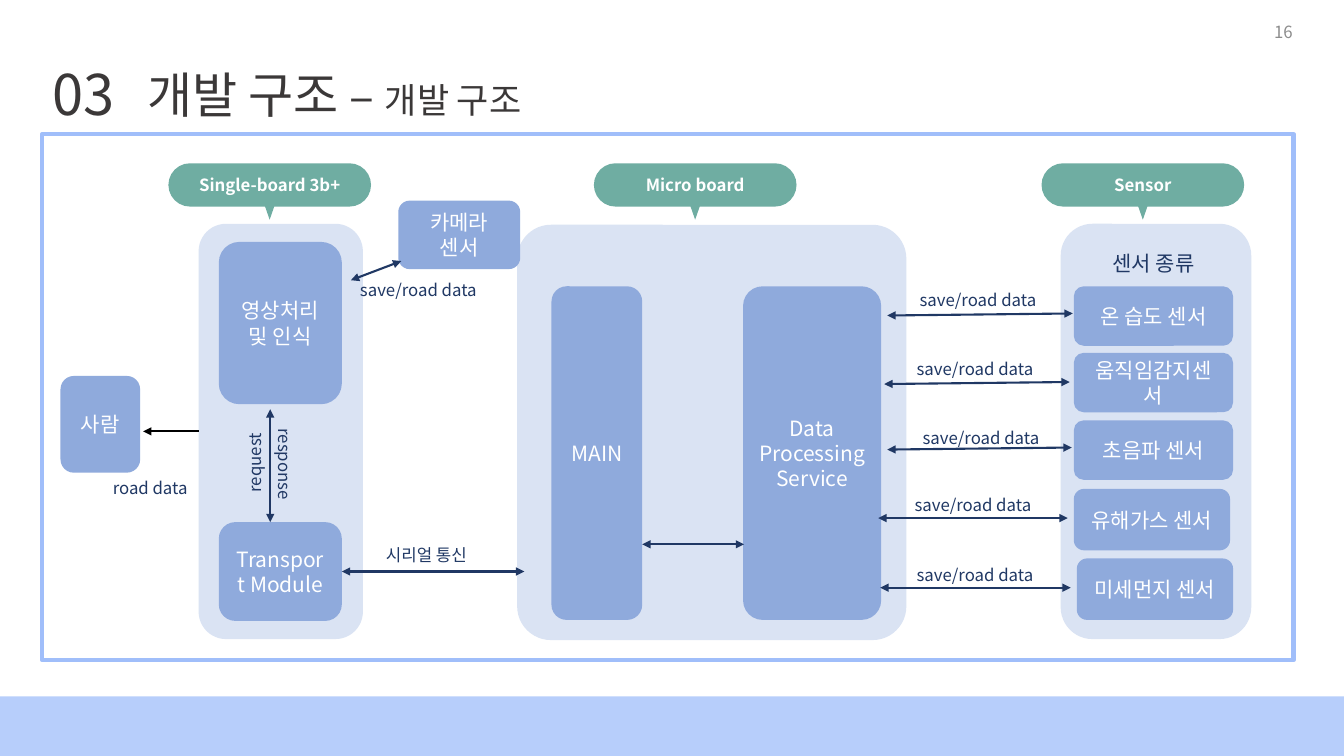
"""Build the development structure slide: boards, modules and sensors."""
from dataclasses import dataclass

from lxml.etree import SubElement
from pptx import Presentation
from pptx.dml.color import RGBColor
from pptx.enum.shapes import MSO_CONNECTOR as CONN, MSO_SHAPE as SHAPE
from pptx.enum.text import MSO_ANCHOR as ANCHOR, MSO_AUTO_SIZE as AUTO, PP_ALIGN as ALIGN
from pptx.oxml.ns import qn
from pptx.util import Inches, Pt


@dataclass(frozen=True)
class Theme:
    font: str = "Noto Sans CJK KR"
    title: str = "3B3838"
    number: str = "8C8C8C"
    frame: str = "A0BEFA"
    band: str = "B7CEFB"
    badge: str = "6FADA2"
    panel: str = "DAE3F3"
    module: str = "8FAADC"
    ink: str = "203864"
    white: str = "FFFFFF"
    black: str = "000000"
    small: int = 12
    body: int = 15
    subtitle: int = 25
    dash: int = 33
    heading: int = 35
    section: int = 40


class Board:
    def __init__(self, slide, theme):
        self.slide, self.t = slide, theme

    def style(self, p, size, color, align=ALIGN.CENTER, bold=False):
        p.alignment = align
        f = p.font
        f.size, f.bold, f.name = Pt(size), bold, self.t.font
        f.color.rgb = RGBColor.from_string(color)
        props = p._p.pPr.find(qn("a:defRPr"))
        SubElement(props, qn("a:ea")).set("typeface", self.t.font)

    def put_text(self, sp, text, size, color, anchor=ANCHOR.MIDDLE, **style):
        tf = sp.text_frame
        tf.word_wrap, tf.vertical_anchor = True, anchor
        tf.text = text
        for p in tf.paragraphs:
            self.style(p, size, color, **style)

    def title(self, box, parts):
        sp = self.slide.shapes.title
        sp.left, sp.top, sp.width, sp.height = map(Inches, box)
        tf = sp.text_frame
        tf.auto_size, tf.vertical_anchor = AUTO.NONE, ANCHOR.TOP
        p = tf.paragraphs[0]
        self.style(p, self.t.heading, self.t.title, ALIGN.LEFT)
        for text, size in parts:
            r = p.add_run()
            r.text = text
            r.font.size = Pt(size)

    def label(self, box, text, size=None, color=None, rotation=0, anchor=ANCHOR.TOP, **style):
        sp = self.slide.shapes.add_textbox(*map(Inches, box))
        sp.rotation = rotation
        self.put_text(sp, text, size or self.t.small, color or self.t.ink, anchor, **style)

    def paint(self, sp, fill=None, line=None):
        sp.shadow.inherit = False
        if fill:
            sp.fill.solid()
            sp.fill.fore_color.rgb = RGBColor.from_string(fill)
        else:
            sp.fill.background()
        if line:
            sp.line.color.rgb = RGBColor.from_string(line)
            sp.line.width = Pt(3)
        else:
            sp.line.fill.background()

    def rect(self, box, fill=None, line=None):
        sp = self.slide.shapes.add_shape(SHAPE.RECTANGLE, *map(Inches, box))
        self.paint(sp, fill, line)

    def rounded(self, box, fill, radius=0.167):
        sp = self.slide.shapes.add_shape(SHAPE.ROUNDED_RECTANGLE, *map(Inches, box))
        sp.adjustments[0] = radius
        self.paint(sp, fill)
        return sp

    def module(self, box, text, radius=0.167):
        sp = self.rounded(box, self.t.module, radius)
        self.put_text(sp, text, self.t.body, self.t.white)
        return sp

    def badge(self, left, text):
        top, width, half = 1.62, 2.01, 0.08
        mid = left + width / 2
        sp = self.rounded((left, top, width, 0.43), self.t.badge, 0.5)
        self.put_text(sp, text, self.t.small, self.t.white, bold=True)
        fb = self.slide.shapes.build_freeform(Inches(mid - half), Inches(1.95))
        fb.add_line_segments([(Inches(mid), Inches(2.18)), (Inches(mid + half), Inches(1.95))])
        self.paint(fb.convert_to_shape(), self.t.badge)

    def arrow(self, start, end, color=None, ends=("headEnd", "tailEnd"), join=None):
        c = self.slide.shapes.add_connector(CONN.STRAIGHT, *map(Inches, start + end))
        if join:
            c.begin_connect(*join)
        c.line.color.rgb = RGBColor.from_string(color or self.t.ink)
        c.line.width = Pt(1.5)
        ln = c._element.spPr.find(qn("a:ln"))
        for tag in ends:
            SubElement(ln, qn(f"a:{tag}")).set("type", "triangle")
        SubElement(c._element.spPr, qn("a:effectLst"))


BADGES = [(5.89, "Micro board"), (10.33, "Sensor"), (1.67, "Single-board 3b+")]

SENSORS = [
    ("온 습도 센서", (10.65, 2.84, 1.58, 0.59), (10.64, 3.11), (8.8, 3.13), (8.75, 2.83)),
    ("움직임감지센서", (10.65, 3.5, 1.58, 0.59), (10.61, 3.79), (8.77, 3.81), (8.72, 3.51)),
    ("초음파 센서", (10.65, 4.17, 1.58, 0.59), (10.63, 4.44), (8.8, 4.46), (8.78, 4.19)),
    ("유해가스 센서", (10.65, 4.85, 1.55, 0.61), (10.59, 5.14), (8.71, 5.14), (8.7, 4.86)),
    ("미세먼지 센서", (10.68, 5.54, 1.55, 0.61), (10.62, 5.83), (8.73, 5.83), (8.72, 5.55)),
]


def main():
    prs = Presentation()
    prs.slide_width, prs.slide_height = Inches(13.33), Inches(7.5)
    t = Theme()
    b = Board(prs.slides.add_slide(prs.slide_layouts[5]), t)

    b.label((0.42, 0.54, 0.96, 0.77), "03", t.section, t.title, align=ALIGN.LEFT)
    b.title((1.36, 0.59, 7.65, 0.69),
            [("개발 구조 ", t.heading), ("– ", t.dash), ("개발 구조", t.subtitle)])
    b.label((12.12, 0.12, 0.8, 0.4), "16", color=t.number, anchor=ANCHOR.MIDDLE,
            align=ALIGN.RIGHT)
    b.rect((0.42, 1.33, 12.41, 5.22), line=t.frame)
    b.rect((0, 6.91, 13.33, 0.6), fill=t.band)

    computer = b.rounded((1.97, 2.22, 1.63, 4.12), t.panel)
    b.rounded((5.13, 2.23, 3.86, 4.12), t.panel, 0.087)
    b.rounded((10.52, 2.22, 1.89, 4.12), t.panel)
    for left, text in BADGES:
        b.badge(left, text)

    b.module((2.17, 2.4, 1.22, 1.61), "영상처리 및 인식")
    transport = b.module((2.17, 5.18, 1.22, 0.98), "Transport Module")
    b.module((5.47, 2.84, 0.9, 3.31), "MAIN")
    b.module((0.6, 3.73, 0.79, 0.96), "사람")
    b.module((7.37, 2.84, 1.37, 3.31), "Data\nProcessing\nService", 0.142)
    b.module((3.95, 1.99, 1.21, 0.68), "카메라\n센서")

    b.arrow((2.68, 4.06), (2.68, 5.18))
    b.label((2.04, 4.44, 0.97, 0.3), "request", rotation=270)
    b.label((2.3, 4.46, 1.07, 0.29), "response", rotation=90)
    b.arrow((7.38, 5.4), (6.37, 5.4))
    b.arrow((3.39, 5.67), (5.2, 5.67), join=(transport, 3))
    b.label((3.26, 5.36, 1.94, 0.3), "시리얼 통신")
    b.arrow((3.48, 2.78), (3.98, 2.59))
    b.label((3.2, 2.73, 1.9, 0.29), "save/road data")
    b.arrow((1.97, 4.28), (1.42, 4.28), t.black, ("tailEnd",), (computer, 1))
    b.label((0.54, 4.69, 1.9, 0.3), "road data")

    b.label((10.88, 2.44, 1.12, 0.35), "센서 종류", t.body)
    for name, box, start, end, corner in SENSORS:
        b.module(box, name)
        b.arrow(start, end)
        b.label(corner + (1.9, 0.3), "save/road data")

    prs.save("out.pptx")


if __name__ == "__main__":
    main()
